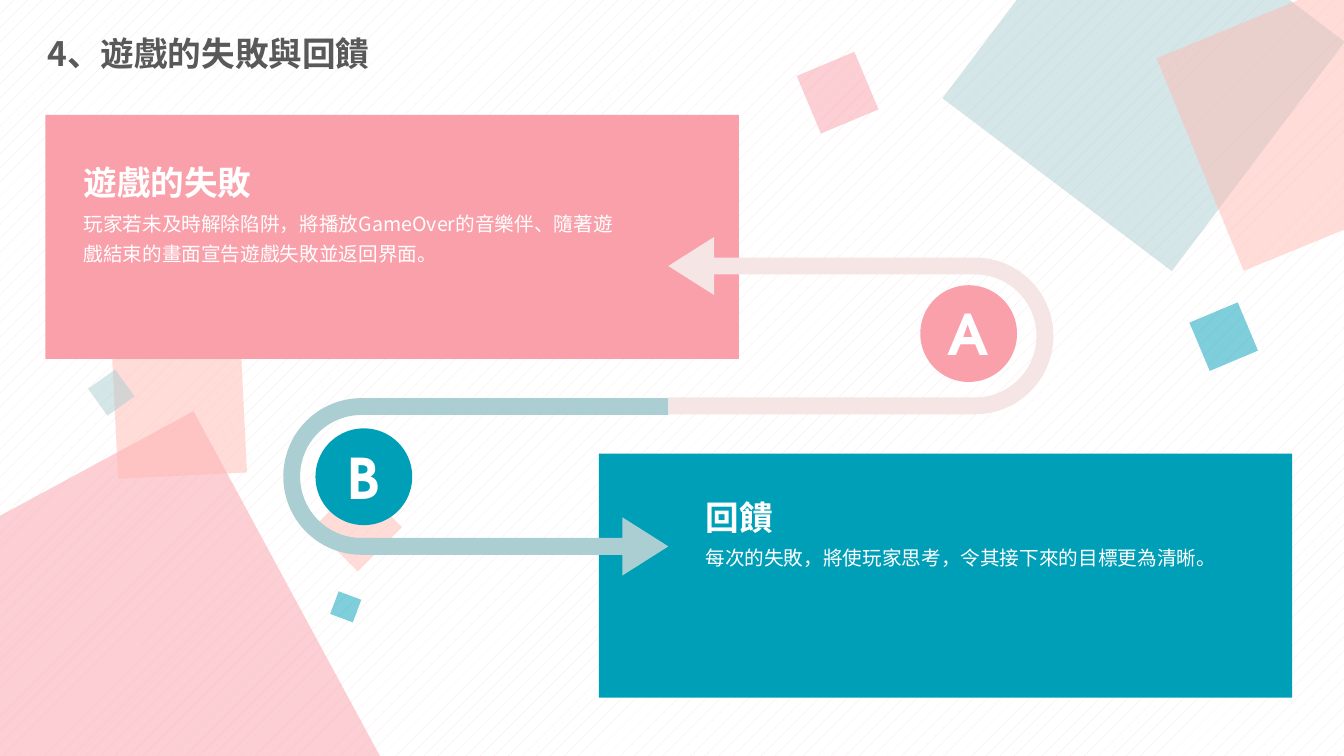
from dataclasses import dataclass

from lxml.etree import SubElement
from pptx import Presentation
from pptx.dml.color import RGBColor
from pptx.enum.dml import MSO_PATTERN
from pptx.enum.shapes import MSO_SHAPE as SHAPE
from pptx.enum.text import MSO_ANCHOR as ANCHOR, PP_ALIGN as ALIGN
from pptx.oxml.ns import qn
from pptx.util import Inches, Pt


@dataclass(frozen=True)
class Theme:
    pink: str = "FAA0AA"
    peach: str = "FFBBB3"
    mist: str = "AACED2"
    teal: str = "009FB8"
    blush: str = "F5E5E4"
    white: str = "FFFFFF"
    grey: str = "595959"
    cjk: str = "Noto Sans CJK SC"
    display: str = "TeX Gyre Adventor"
    heading_size: int = 24
    body_size: int = 14
    letter_size: int = 40


THEME = Theme()
COLUMNS, ROWS = 133.33, 75
CELL = Inches(0.1)

TITLE = "4、遊戲的失敗與回饋"
TITLE_BOX = (3.7, 2.6, 61.3, 5.8)

# column, row, side, rotation, colour
CONFETTI = [
    (-9.3, 48, 40.6, 331.6, THEME.pink),
    (11.4, 34.4, 12.8, 357.2, THEME.peach),
    (32.4, 49.2, 6.2, 315, THEME.peach),
    (9.4, 37.3, 3.3, 324.4, THEME.mist),
    (99.2, -7.3, 28.5, 37, THEME.mist),
    (118.2, 0.6, 22.8, 337.7, THEME.peach),
    (80, 6.1, 6.2, 337.2, THEME.pink),
    (118.8, 30.8, 5.2, 337.2, THEME.teal),
    (33.1, 59, 2.4, 290.5, THEME.teal),
]

TOPICS = [
    dict(letter="B", heading="回饋",
         body="每次的失敗，將使玩家思考，令其接下來的目標更為清晰。",
         colour=THEME.teal, arrow_colour=THEME.mist, turn=270,
         card=(59.4, 45), arrow=(38.4, 29.2), badge=(31.3, 42.5),
         words=(69, 47.6), body_height=4.1),
    dict(letter="A", heading="遊戲的失敗",
         body="玩家若未及時解除陷阱，將播放GameOver的音樂伴、隨著遊戲結束的畫面宣告遊戲失敗並返回界面。",
         colour=THEME.pink, arrow_colour=THEME.blush, turn=90,
         card=(4.5, 11.4), arrow=(76.6, 13.2), badge=(91.3, 28.3),
         words=(7.3, 14.4), body_height=7.1),
]
CARD_SIZE = (68.8, 24.2)
ARROW_SIZE = (17.6, 38.2)
ARROW_BENDS = (0.095, 0.164, 0.259, 0.441, 1)
BADGE_SIZE = (9.6, 9.6)
HEADING_SIZE = (31.5, 6.3)
BODY_WIDTH = 56.1
BODY_DROP = 5.4

deck = Presentation()
deck.slide_width, deck.slide_height = int(COLUMNS * CELL), ROWS * CELL
slide = deck.slides.add_slide(deck.slide_layouts[6])

backdrop = slide.background.fill
backdrop.patterned()
backdrop.pattern = MSO_PATTERN.PERCENT_5
backdrop.fore_color.rgb = RGBColor.from_string(THEME.blush)
backdrop.back_color.rgb = RGBColor.from_string(THEME.white)


def on_grid(box):
    return [int(length * CELL) for length in box]


def draw(kind, box, colour, turn=0, alpha=None):
    shape = slide.shapes.add_shape(kind, *on_grid(box))
    shape.shadow.inherit = False
    shape.line.fill.background()
    shape.fill.solid()
    shape.fill.fore_color.rgb = RGBColor.from_string(colour)
    shape.rotation = turn
    if alpha:
        tint = shape.fill._xPr.find(".//" + qn("a:srgbClr"))
        SubElement(tint, qn("a:alpha")).set("val", str(alpha * 1000))
    return shape


def style(frame, words, size, font, colour, bold=False, spacing=1.0):
    frame.word_wrap = True
    frame.text = words
    paragraph = frame.paragraphs[0]
    paragraph.line_spacing = spacing
    run = paragraph.runs[0]
    run.font.size, run.font.bold, run.font.name = Pt(size), bold, font
    run.font.color.rgb = RGBColor.from_string(colour)
    SubElement(run.font._element, qn("a:ea")).set("typeface", THEME.cjk)
    return paragraph


def write(box, *look, **options):
    frame = slide.shapes.add_textbox(*on_grid(box)).text_frame
    style(frame, *look, **options)
    return frame


for column, row, side, turn, colour in CONFETTI:
    draw(SHAPE.RECTANGLE, (column, row, side, side), colour, turn, alpha=50)

title = write(TITLE_BOX, TITLE, THEME.heading_size, THEME.cjk, THEME.grey,
              bold=True, spacing=0.9)
title.vertical_anchor = ANCHOR.MIDDLE
title.paragraphs[0].space_before = Pt(10)

for topic in TOPICS:
    draw(SHAPE.RECTANGLE, topic["card"] + CARD_SIZE, topic["colour"])
    arrow = draw(SHAPE.U_TURN_ARROW, topic["arrow"] + ARROW_SIZE,
                 topic["arrow_colour"], topic["turn"])
    arrow._element.spPr.xfrm.set("flipH", "1")
    for index, bend in enumerate(ARROW_BENDS):
        arrow.adjustments[index] = bend

    badge = draw(SHAPE.OVAL, topic["badge"] + BADGE_SIZE, topic["colour"]).text_frame
    badge.vertical_anchor = ANCHOR.MIDDLE
    letter = style(badge, topic["letter"], THEME.letter_size, THEME.display,
                   THEME.white, bold=True)
    letter.alignment = ALIGN.CENTER

    left, top = topic["words"]
    write((left, top + BODY_DROP, BODY_WIDTH, topic["body_height"]), topic["body"],
          THEME.body_size, THEME.cjk, THEME.white, spacing=1.3)
    write((left, top) + HEADING_SIZE, topic["heading"],
          THEME.heading_size, THEME.display, THEME.white, bold=True, spacing=1.3)

deck.save("out.pptx")
